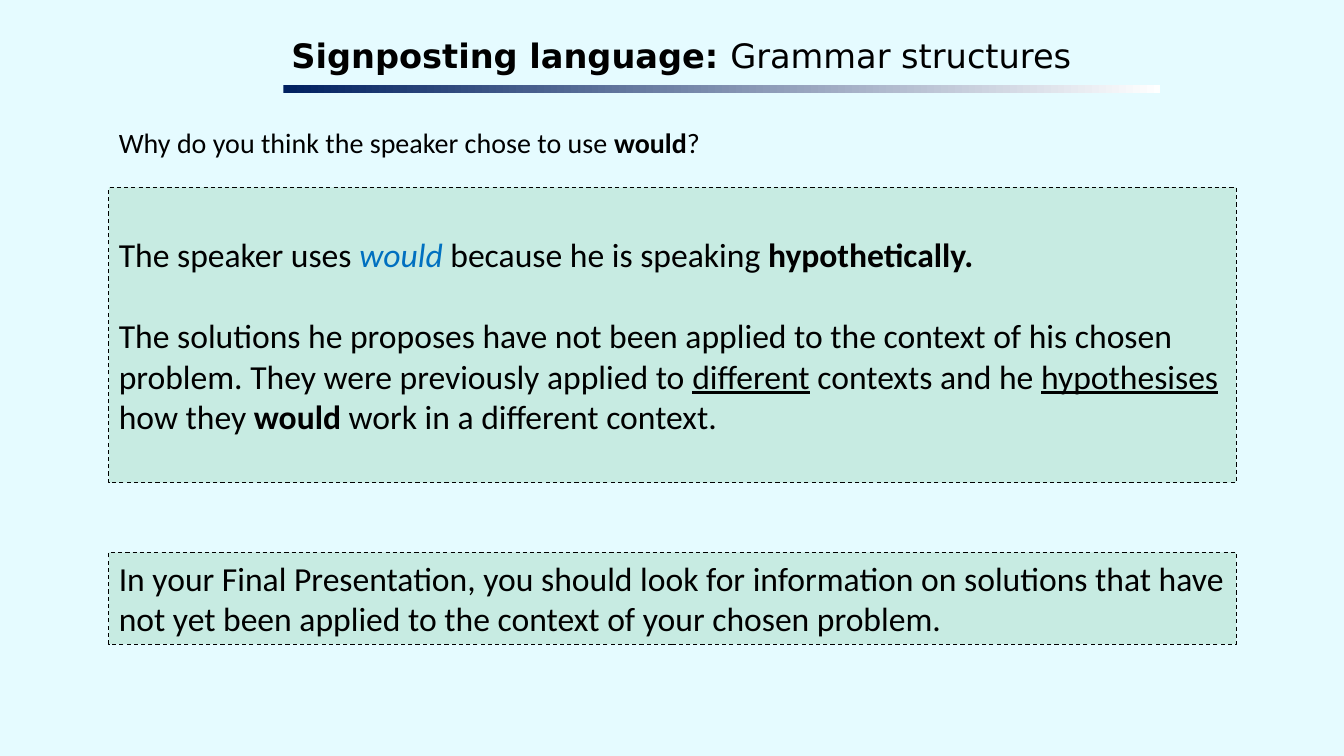
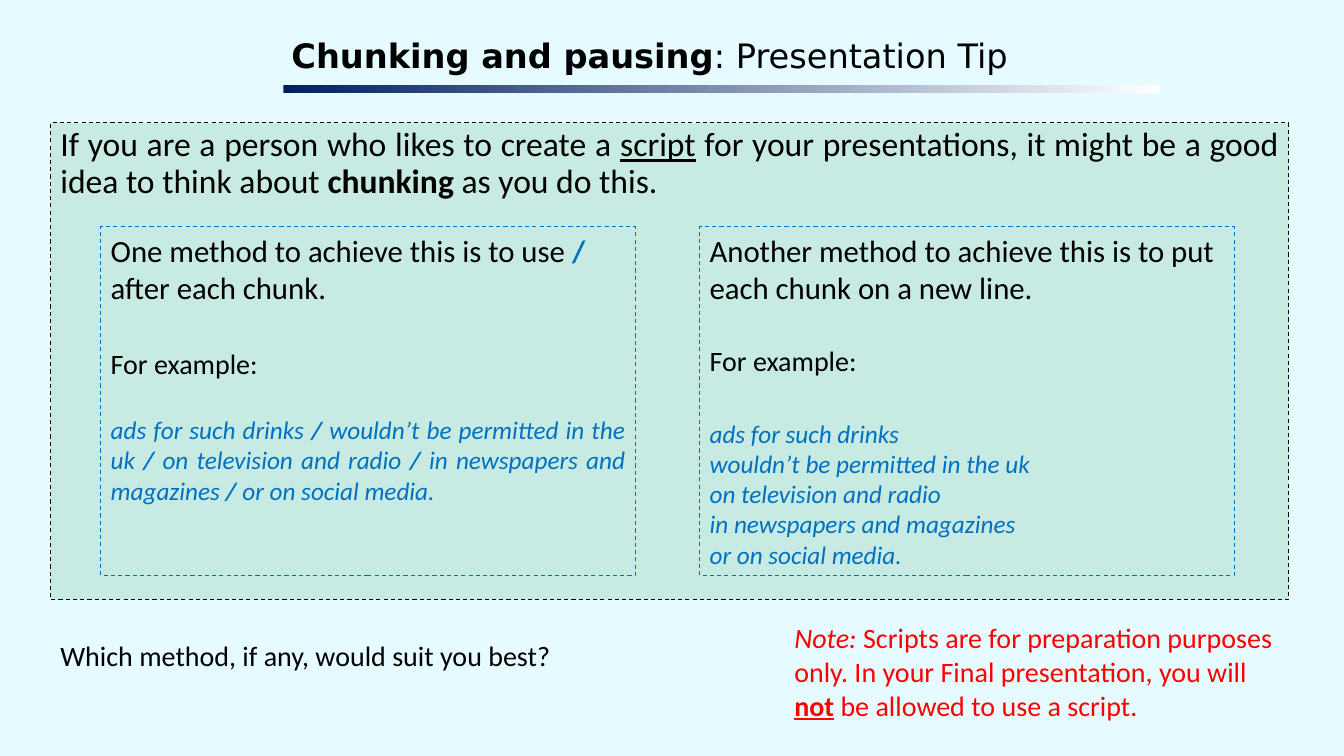
from dataclasses import dataclass

from pptx import Presentation
from pptx.dml.color import RGBColor
from pptx.enum.dml import MSO_LINE
from pptx.enum.shapes import MSO_SHAPE as Shape
from pptx.enum.text import MSO_ANCHOR as Anchor, MSO_AUTO_SIZE as AutoSize, PP_ALIGN as Align
from pptx.util import Inches, Pt


@dataclass(frozen=True)
class Theme:
    background: RGBColor = RGBColor(0xE5, 0xFB, 0xFF)
    panel: RGBColor = RGBColor(0xC7, 0xEB, 0xE2)
    ink: RGBColor = RGBColor(0, 0, 0)
    blue: RGBColor = RGBColor(0x00, 0x70, 0xC0)
    red: RGBColor = RGBColor(0xFF, 0, 0)
    navy: RGBColor = RGBColor(0x00, 0x20, 0x60)
    white: RGBColor = RGBColor(0xFF, 0xFF, 0xFF)
    title_font: str = "DejaVu Sans"
    body_font: str = "Calibri"
    large: int = 24
    medium: int = 22
    normal: int = 20
    small: int = 18
    outline: float = 0.75


THEME = Theme()


@dataclass
class Para:
    """A paragraph; each run is a string or (string, marks) with marks from b, i, u and c (blue)."""
    runs: tuple
    size: int = THEME.large
    color: RGBColor = THEME.ink
    font: str = THEME.body_font
    italic: bool = False
    align: Align = Align.LEFT
    before: float = 0
    line_spacing: float = 1.0


class Deck:
    def __init__(self, theme):
        self.theme = theme
        self.prs = Presentation()
        self.prs.slide_width, self.prs.slide_height = Inches(13.33), Inches(7.5)
        background = self.prs.slide_master.background.fill
        background.solid()
        background.fore_color.rgb = theme.background
        self.slide = None

    def add_slide(self, *title_runs):
        """Start a slide with its title and the fading rule below it."""
        layout = self.prs.slide_layouts.get_by_name("Title Only")
        self.slide = self.prs.slides.add_slide(layout)
        title = self.slide.shapes.title
        title.left, title.top = Inches(2.85), Inches(0.31)
        title.width, title.height = Inches(8.66), Inches(0.53)
        self.fill_frame(title.text_frame, [Para(title_runs, font=self.theme.title_font)],
                        inset=(0.04, 0.04))
        self.title_rule()

    def title_rule(self):
        rule = self.shape(2.81, 0.84, 8.7, 0.08)
        rule.line.fill.background()
        rule.fill.gradient()
        rule.fill.gradient_angle = 0
        ends = ((0, self.theme.navy), (1, self.theme.white))
        for stop, (position, color) in zip(rule.fill.gradient_stops, ends):
            stop.position = position
            stop.color.rgb = color

    def shape(self, left, top, width, height):
        rectangle = self.slide.shapes.add_shape(
            Shape.RECTANGLE, Inches(left), Inches(top), Inches(width), Inches(height))
        rectangle.shadow.inherit = False
        return rectangle

    def dashed_box(self, left, top, width, height, paras, outline, fill=None, anchor=Anchor.TOP):
        box = self.shape(left, top, width, height)
        if fill is None:
            box.fill.background()
        else:
            box.fill.solid()
            box.fill.fore_color.rgb = fill
        box.line.color.rgb = outline
        box.line.width = Pt(self.theme.outline)
        box.line.dash_style = MSO_LINE.DASH
        self.fill_frame(box.text_frame, paras, anchor)

    def panel(self, left, top, width, height, paras, anchor=Anchor.TOP):
        self.dashed_box(left, top, width, height, paras, self.theme.ink, self.theme.panel, anchor)

    def text(self, left, top, width, height, para):
        box = self.slide.shapes.add_textbox(
            Inches(left), Inches(top), Inches(width), Inches(height))
        self.fill_frame(box.text_frame, [para])

    def fill_frame(self, frame, paras, anchor=Anchor.TOP, inset=(0.1, 0.05)):
        frame.word_wrap = True
        frame.auto_size = AutoSize.NONE
        frame.vertical_anchor = anchor
        frame.margin_left = frame.margin_right = Inches(inset[0])
        frame.margin_top = frame.margin_bottom = Inches(inset[1])
        for index, para in enumerate(paras):
            paragraph = frame.add_paragraph() if index else frame.paragraphs[0]
            paragraph.alignment = para.align
            paragraph.space_before = Pt(para.before)
            paragraph.line_spacing = para.line_spacing
            font = paragraph.font
            font.name, font.size, font.italic = para.font, Pt(para.size), para.italic
            font.bold = False
            font.color.rgb = para.color
            for part in para.runs:
                words, marks = (part, "") if isinstance(part, str) else part
                run = paragraph.add_run()
                run.text = words
                if "b" in marks:
                    run.font.bold = True
                if "i" in marks:
                    run.font.italic = True
                if "u" in marks:
                    run.font.underline = True
                if "c" in marks:
                    run.font.color.rgb = self.theme.blue


def grammar_slide(deck):
    theme = deck.theme
    left, width = 1.08, 11.18
    deck.add_slide(("Signposting language: ", "b"), "Grammar structures")
    deck.text(left, 1.23, width, 0.5, Para(
        ("Why do you think the speaker chose to use ", ("would", "b"), "?"),
        theme.normal, line_spacing=0.9))
    deck.panel(left, 1.86, width, 2.93, [
        Para(("The speaker uses ", ("would ", "ic"), "because he is speaking ",
              ("hypothetically.", "b"))),
        Para(("The solutions he proposes have not been applied to the context of his chosen "
              "problem. They were previously applied to ", ("different", "u"),
              " contexts and he ", ("hypothesises", "u"), " how they ", ("would", "b"),
              " work in a different context."), before=29.3),
    ], Anchor.MIDDLE)
    deck.panel(left, 5.48, width, 0.91, [
        Para(("In your Final Presentation, you should look for information on solutions that "
              "have not yet been applied to the context of your chosen problem.",)),
    ], Anchor.MIDDLE)


def chunking_slide(deck):
    theme = deck.theme
    deck.add_slide(("Chunking and pausing", "b"), ": Presentation Tip")
    deck.panel(0.5, 1.22, 12.28, 4.73, [
        Para(("If you are a person who likes to create a ", ("script", "u"),
              " for your presentations, it might be a good idea to think about ",
              ("chunking", "b"), " as you do this."),
             align=Align.JUSTIFY, line_spacing=0.9),
    ])

    example = {"size": theme.small, "color": theme.blue, "italic": True}
    slash_method = [
        Para(("One method to achieve this is to use ", ("/ ", "bc"), "after each chunk."),
             theme.medium),
        Para(("For example:",), theme.normal, before=29.3),
        Para(("ads for such drinks ", ("/ ", "b"), "wouldn’t be permitted in the uk",
              (" / ", "b"), "on television and radio ", ("/", "b"),
              " in newspapers and magazines", (" / ", "b"), "or on social media."),
             align=Align.JUSTIFY, before=24.4, **example),
    ]
    chunks = ("ads for such drinks", "wouldn’t be permitted in the uk",
              "on television and radio", "in newspapers and magazines", "or on social media.")
    new_line_method = [
        Para(("Another method to achieve this is to put each chunk on a new line.",),
             theme.medium),
        Para(("For example:",), theme.normal, before=26.9),
        *(Para((chunk,), before=0 if index else 29.3, **example)
          for index, chunk in enumerate(chunks)),
    ]
    for left, method in ((1, slash_method), (6.94, new_line_method)):
        deck.dashed_box(left, 2.25, 5.3, 3.46, method, theme.blue)

    deck.text(0.5, 6.29, 6.67, 0.44, Para(
        ("Which method, if any, would suit you best?",), theme.normal))
    deck.text(7.78, 6.11, 5.07, 1.11, Para(
        (("Note: ", "i"), "Scripts are for preparation purposes only. In your Final "
         "presentation, you will ", ("not", "bu"), " be allowed to use a script."),
        theme.normal, theme.red))


def main():
    deck = Deck(THEME)
    grammar_slide(deck)
    chunking_slide(deck)
    deck.prs.save("out.pptx")


if __name__ == "__main__":
    main()
